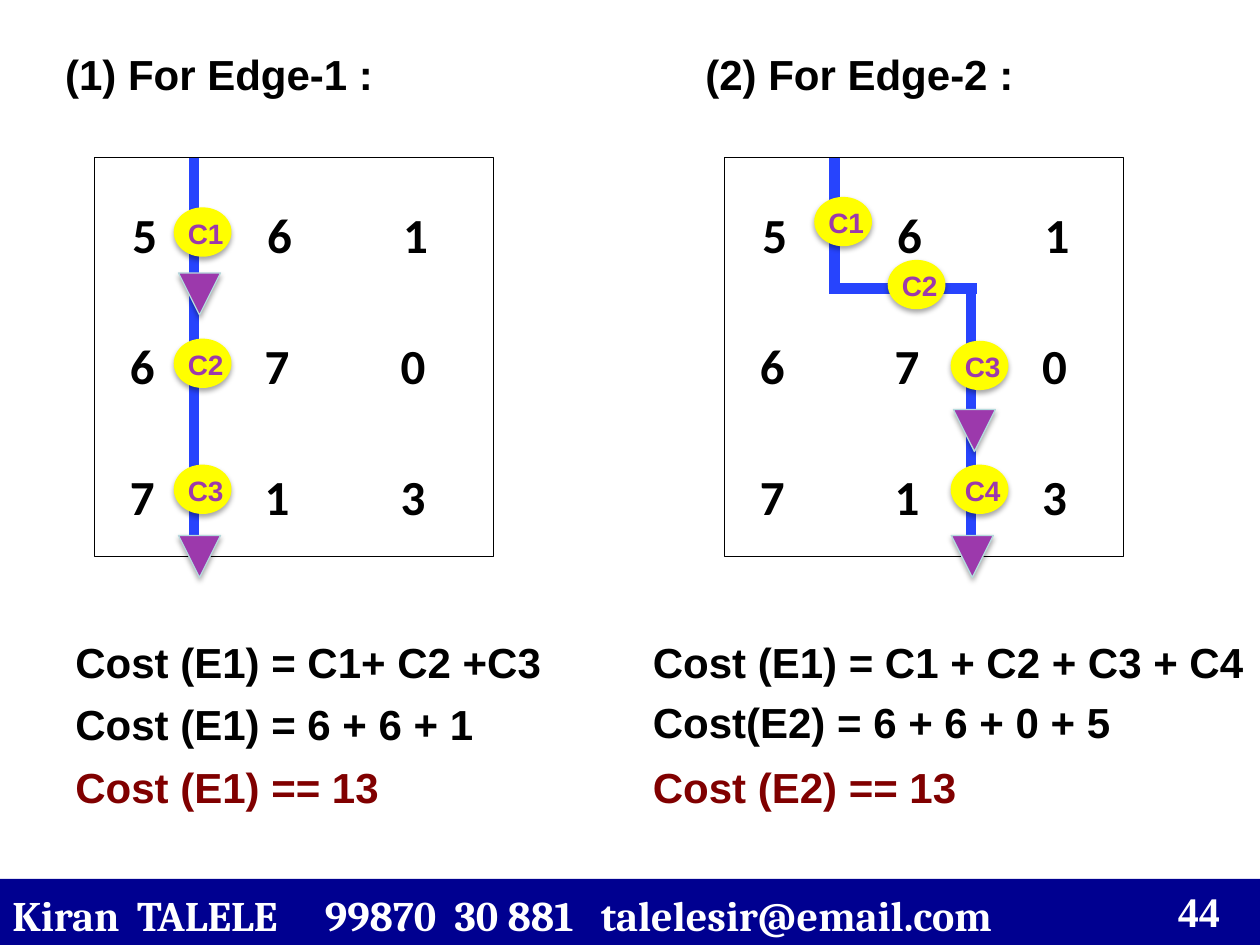
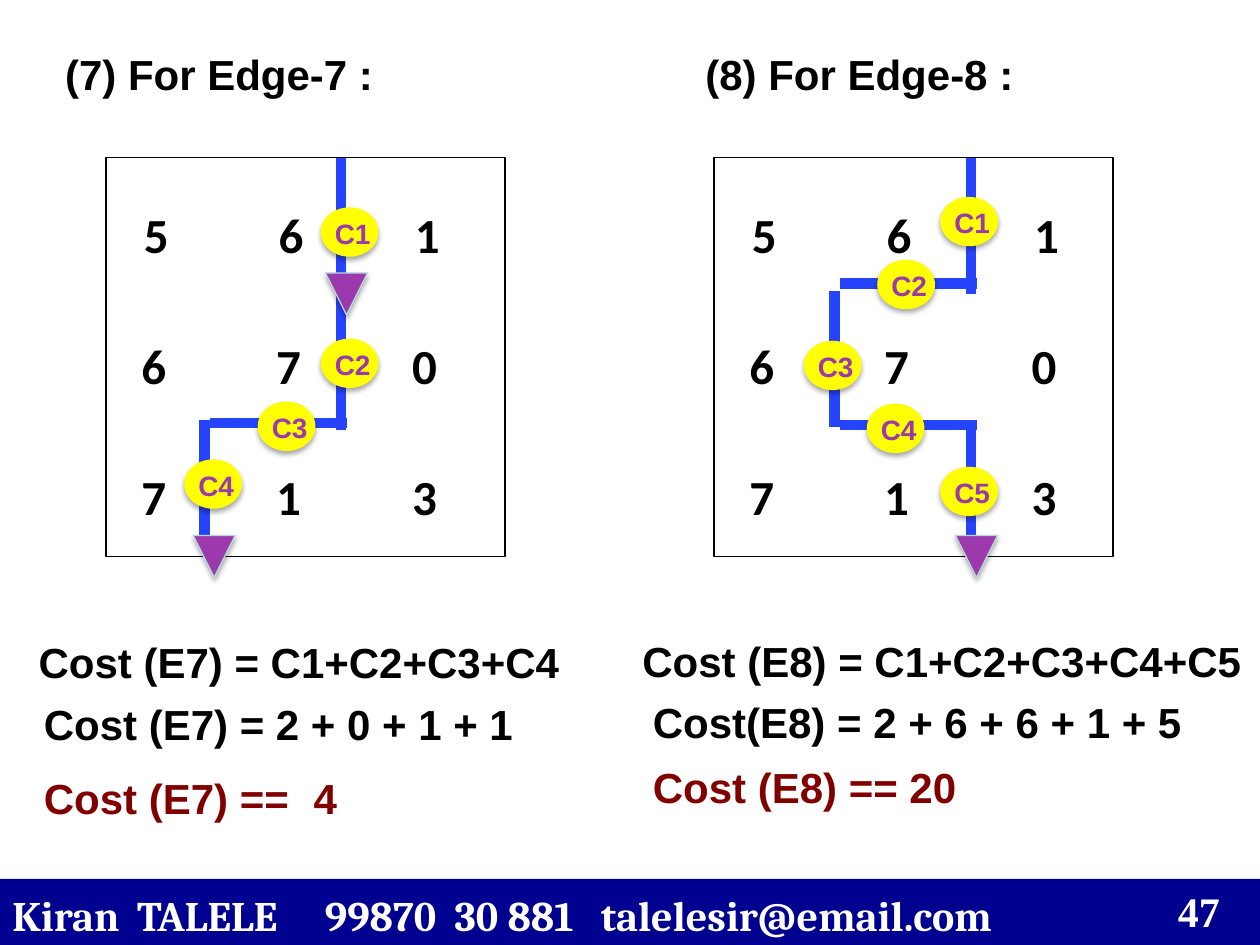
from dataclasses import dataclass

from lxml import etree
from pptx import Presentation
from pptx import util as u
from pptx.dml.color import RGBColor
from pptx.enum import shapes, text
from pptx.oxml import parse_xml
from pptx.oxml.ns import nsdecls, qn

COLUMNS, ROWS = 120, 90
COLORS = {
    "ink": "000000", "paper": "FFFFFF", "result": "800000", "band": "000090",
    "edge": "2744FD", "badge": "FFFF00", "purple": "9C39AC", "rim": "B5DADD",
}
PANEL_TOP, PANEL_SIZE = 15, 38
BADGE_SIZE, ARROW_SIZE = (5, 4.2), 4
PIXELS = ("561", "670", "713")
FOOTER = "Kiran\tTALELE\t99870\t30 881\ttalelesir@email.com"
FOOTER_TABS = [(0.99, "l"), (2.48, "l"), (3.51, "l"), (4.67, "l")]


@dataclass
class Panel:
    """One edge: heading, pixel square, path with badges and arrows, cost lines."""
    heading: str
    heading_left: float
    left: float
    last_tab: float
    segments: list  # x1, y1, x2, y2
    badges: list    # left, top; numbered C1, C2, ... in order
    arrows: list    # left, top
    costs: list     # text, left, top; the last one is the result
    cost_width: float


class Deck:
    def __init__(self):
        self.presentation = Presentation()
        self.presentation.slide_width = u.Inches(10)
        self.presentation.slide_height = u.Inches(7.5)
        self.slide = None

    def new_slide(self):
        layout = self.presentation.slide_layouts[5]
        self.slide = self.presentation.slides.add_slide(layout)

    def x(self, columns):
        return round(self.presentation.slide_width * columns / COLUMNS)

    def y(self, rows):
        return round(self.presentation.slide_height * rows / ROWS)

    def box(self, left, top, width, height):
        return self.x(left), self.y(top), self.x(width), self.y(height)

    @staticmethod
    def color(name):
        return RGBColor.from_string(COLORS[name])

    def add_run(self, paragraph, words, size, color="ink", font="Arial", bold=True):
        run = paragraph.add_run()
        run.text = words
        run.font.size, run.font.name, run.font.bold = u.Pt(size), font, bold
        run.font.color.rgb = self.color(color)

    @staticmethod
    def set_tabs(paragraph, stops):
        """Add tab stops given as (inches, alignment) pairs."""
        tab_list = etree.SubElement(paragraph._p.get_or_add_pPr(), qn("a:tabLst"))
        for position, alignment in stops:
            etree.SubElement(tab_list, qn("a:tab"), pos=str(u.Inches(position)), algn=alignment)

    @staticmethod
    def set_frame(shape, anchor=text.MSO_ANCHOR.TOP, wrap=True, insets=(0.1, 0.05, 0, 0.05)):
        frame = shape.text_frame
        frame.auto_size = text.MSO_AUTO_SIZE.NONE
        frame.word_wrap, frame.vertical_anchor = wrap, anchor
        (frame.margin_left, frame.margin_top,
         frame.margin_right, frame.margin_bottom) = map(u.Inches, insets)
        frame.paragraphs[0].alignment = text.PP_ALIGN.LEFT
        return frame

    def heading(self, words, left, is_title):
        area = self.box(left, 4, 35, 6.1)
        if is_title:
            shape = self.slide.shapes.title
            shape.left, shape.top, shape.width, shape.height = area
        else:
            shape = self.slide.shapes.add_textbox(*area)
        frame = self.set_frame(shape, text.MSO_ANCHOR.MIDDLE)
        self.add_run(frame.paragraphs[0], words, 24)

    def label(self, words, area, color="ink", font="Arial", tabs=()):
        frame = self.set_frame(self.slide.shapes.add_textbox(*self.box(*area)))
        if tabs:
            self.set_tabs(frame.paragraphs[0], tabs)
        self.add_run(frame.paragraphs[0], words, 24, color, font)

    def shape(self, kind, area, fill, line=None, line_width=0.75, shadow=False):
        shape = self.slide.shapes.add_shape(kind, *self.box(*area))
        shape.shadow.inherit = False
        shape.fill.solid()
        shape.fill.fore_color.rgb = self.color(fill)
        if line:
            shape.line.color.rgb = self.color(line)
            shape.line.width = u.Pt(line_width)
        else:
            shape.line.fill.background()
        if shadow:
            effects = shape._element.spPr.find(qn("a:effectLst"))
            effects.append(parse_xml(
                f'<a:outerShdw {nsdecls("a")} blurRad="{u.Pt(3.1)}" dist="{u.Pt(1.8)}" '
                'dir="5400000" rotWithShape="0"><a:srgbClr val="000000">'
                '<a:alpha val="35000"/></a:srgbClr></a:outerShdw>'))
        return shape

    def pixel_square(self, left, last_tab):
        square = self.shape(shapes.MSO_SHAPE.RECTANGLE,
                            (left, PANEL_TOP, PANEL_SIZE, PANEL_SIZE), "paper", "ink")
        frame = self.set_frame(square)
        for index, row in enumerate(PIXELS):
            paragraph = frame.add_paragraph() if index else frame.paragraphs[0]
            paragraph.alignment = text.PP_ALIGN.LEFT
            paragraph.line_spacing = 1.5
            if index:
                paragraph.space_before = u.Pt(24)
            shift = 0 if index else 0.02
            self.set_tabs(paragraph, [(stop + shift, "ctr") for stop in (0.28, 1.35, last_tab)])
            self.add_run(paragraph, "\t", 28 if index else 32, font="Calibri", bold=False)
            self.add_run(paragraph, "\t".join(row), 28, font="Calibri")

    def segment(self, x1, y1, x2, y2):
        line = self.slide.shapes.add_connector(
            shapes.MSO_CONNECTOR.STRAIGHT, self.x(x1), self.y(y1), self.x(x2), self.y(y2))
        line.line.color.rgb = self.color("edge")
        line.line.width = u.Pt(6)
        etree.SubElement(line._element.spPr, qn("a:effectLst"))

    def badge(self, words, left, top):
        oval = self.shape(shapes.MSO_SHAPE.OVAL, (left, top, *BADGE_SIZE),
                          "badge", "badge", 3, shadow=True)
        frame = self.set_frame(oval, text.MSO_ANCHOR.MIDDLE, False, (0.05, 0.02, 0, 0))
        frame.paragraphs[0].alignment = text.PP_ALIGN.CENTER
        self.add_run(frame.paragraphs[0], words, 16, "purple")

    def arrow(self, left, top):
        triangle = self.shape(shapes.MSO_SHAPE.ISOSCELES_TRIANGLE,
                              (left, top, ARROW_SIZE, ARROW_SIZE), "purple", "rim", shadow=True)
        triangle.rotation = 180

    def footer(self, number):
        band = self.shape(shapes.MSO_SHAPE.RECTANGLE, (0, 83.7, COLUMNS, 6.3), "band")
        frame = self.set_frame(band, text.MSO_ANCHOR.MIDDLE, insets=(0.1, 0.05, 0.1, 0))
        self.set_tabs(frame.paragraphs[0], FOOTER_TABS)
        self.add_run(frame.paragraphs[0], FOOTER, 24, "paper", "Cambria")
        self.label(number, (111, 83.7, 8, 6.3), "paper", "Times New Roman")

    def panel(self, panel, is_first):
        self.heading(panel.heading, panel.heading_left, is_first)
        self.pixel_square(panel.left, panel.last_tab)
        for segment in panel.segments:
            self.segment(*segment)
        for number, place in enumerate(panel.badges, 1):
            self.badge(f"C{number}", *place)
        for place in panel.arrows:
            self.arrow(*place)
        for words, left, top in panel.costs:
            color = "result" if "==" in words else "ink"
            tabs = [(2.14, "l")] if "\t" in words else ()
            self.label(words, (left, top, panel.cost_width, 6), color, tabs=tabs)


SLIDES = {
    "44": [
        Panel("(1) For Edge-1 :", 5, 9, 2.43,
              segments=[(18.5, 15, 18.5, 53)],
              badges=[(16.8, 20), (16.8, 32.5), (16.8, 44.5)],
              arrows=[(17, 26), (17, 51)],
              costs=[("Cost (E1) = C1+ C2 +C3", 6, 60),
                     ("Cost (E1) = 6 + 6 + 1", 6, 65.9),
                     ("Cost (E1) == 13", 6, 71.9)],
              cost_width=54),
        Panel("(2) For Edge-2 :", 66, 69, 2.52,
              segments=[(79.5, 15, 79.5, 28), (92.5, 28, 92.5, 53), (80, 27.5, 93, 27.5)],
              badges=[(77.8, 19), (84.8, 25), (90.8, 32.7), (90.8, 44.5)],
              arrows=[(90.8, 39), (90.6, 51)],
              costs=[("Cost (E1) = C1 + C2 + C3 + C4", 61, 60),
                     ("Cost(E2) = 6 + 6 + 0 + 5", 61, 65.7),
                     ("Cost (E2) == 13", 61, 71.9)],
              cost_width=59),
    ],
    "47": [
        Panel("(7) For Edge-7 :", 5, 10.1, 2.43,
              segments=[(32.5, 15, 32.5, 41), (19.5, 40, 19.5, 52), (20, 40.3, 33, 40.3)],
              badges=[(30.8, 20), (30.8, 32.5), (24.8, 38.5), (17.8, 44)],
              arrows=[(31, 26), (18.4, 51)],
              costs=[("Cost (E7) = C1+C2+C3+C4", 2.5, 60),
                     ("Cost (E7) = 2 + 0 + 1 + 1", 3, 65.9),
                     ("Cost (E7) ==\t4", 3, 73)],
              cost_width=54),
        Panel("(8) For Edge-8 :", 66, 68, 2.52,
              segments=[(92.5, 15, 92.5, 28), (79.5, 27.7, 79.5, 40.7), (80, 27, 93, 27),
                        (80, 40.5, 93, 40.5), (92.5, 41, 92.5, 53)],
              badges=[(89.8, 19), (83.8, 25), (76.8, 32.7), (82.8, 38.7), (89.8, 44.7)],
              arrows=[(91, 51)],
              costs=[("Cost (E8) = C1+C2+C3+C4+C5", 60, 59.9),
                     ("Cost(E8) = 2 + 6 + 6 + 1 + 5", 61, 65.7),
                     ("Cost (E8) == 20", 61, 71.9)],
              cost_width=59),
    ],
}


def main():
    deck = Deck()
    for number, panels in SLIDES.items():
        deck.new_slide()
        for index, panel in enumerate(panels):
            deck.panel(panel, is_first=index == 0)
        deck.footer(number)
    deck.presentation.save("out.pptx")


if __name__ == "__main__":
    main()
